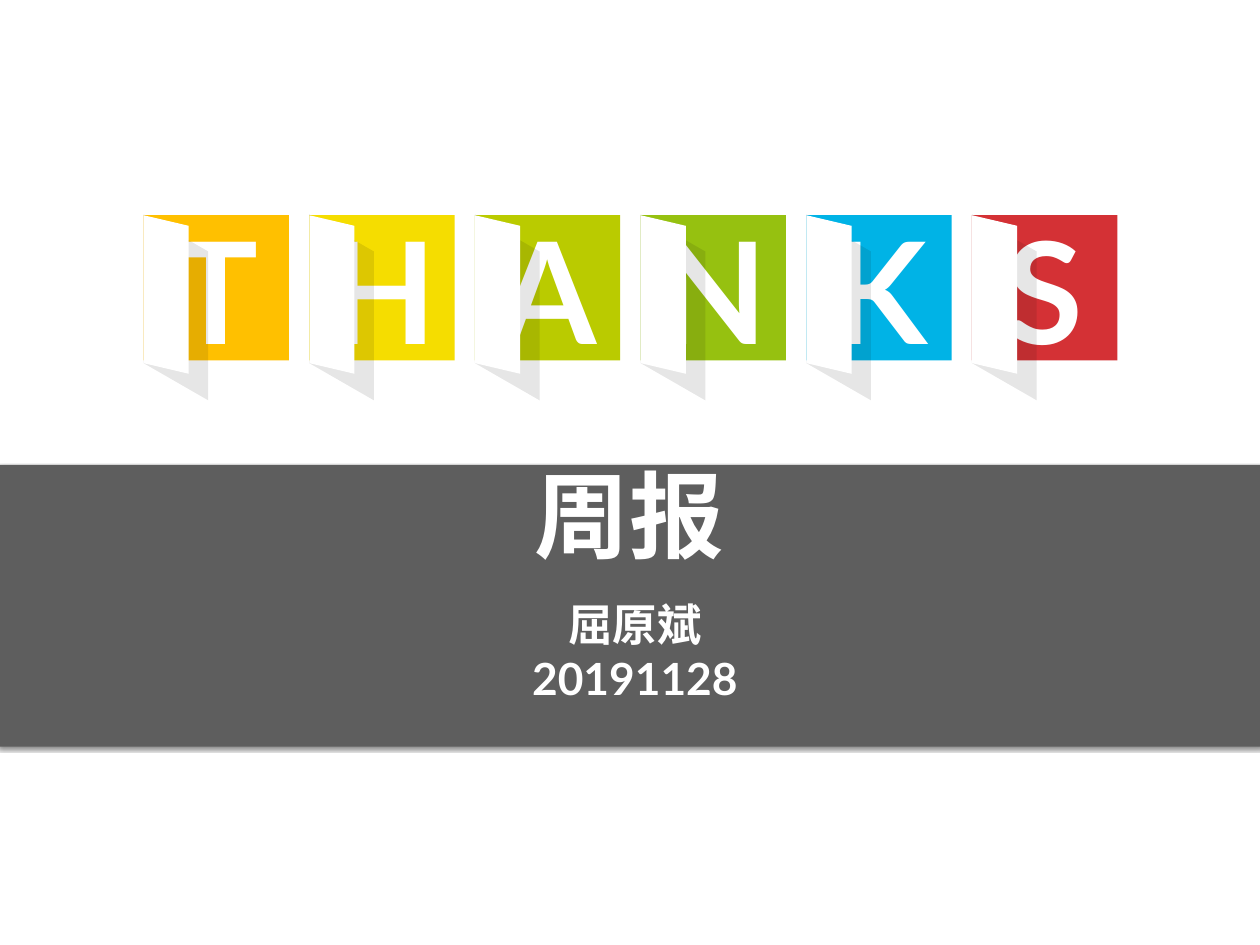
from typing import NamedTuple

from lxml import etree
from pptx import Presentation
from pptx.dml.color import RGBColor
from pptx.enum.shapes import MSO_SHAPE
from pptx.enum.text import MSO_ANCHOR, MSO_AUTO_SIZE, PP_ALIGN
from pptx.oxml import parse_xml
from pptx.oxml.ns import nsdecls, qn
from pptx.util import Inches, Pt

FONT = "Lato"
WHITE = RGBColor(0xFF, 0xFF, 0xFF)
BAND_GREY = RGBColor(0x5E, 0x5E, 0x5E)
SHADE = RGBColor(0x0D, 0x0D, 0x0D)
AMBER = RGBColor(0xFF, 0xC0, 0x00)
YELLOW = RGBColor(0xF5, 0xDD, 0x00)
LIME = RGBColor(0xBA, 0xCB, 0x00)
GREEN = RGBColor(0x96, 0xC1, 0x10)
BLUE = RGBColor(0x00, 0xB3, 0xE6)
RED = RGBColor(0xD4, 0x31, 0x35)

TILE_LEFT, TILE_TOP, TILE_SIZE, TILE_PITCH = 1.62, 2.43, 1.64, 1.87
LETTER_TOP, LETTER_HEIGHT = 2.24, 2.02


class Tile(NamedTuple):
    """One letter of the closing word and its tile colour."""
    letter: str
    color: RGBColor


class Flap(NamedTuple):
    """A slanted panel hinged on the left edge of a tile."""
    top: float
    width: float
    drop: float
    height: float
    color: RGBColor
    opacity: int


TILES = [Tile("T", AMBER), Tile("H", YELLOW), Tile("A", LIME),
         Tile("N", GREEN), Tile("K", BLUE), Tile("S", RED)]
FLAPS = [Flap(2.42, 0.73, 0.42, 1.68, SHADE, 10),
         Flap(2.43, 0.51, 0.12, 1.67, WHITE, 100)]


def paint(shape, color: RGBColor, opacity: int = 100) -> None:
    """Give a shape a flat fill without outline or shadow."""
    shape.shadow.inherit = False
    shape.line.fill.background()
    shape.fill.solid()
    shape.fill.fore_color.rgb = color
    if opacity < 100:
        rgb = shape._element.spPr.find(qn("a:solidFill")).find(qn("a:srgbClr"))
        etree.SubElement(rgb, qn("a:alpha"), val=str(opacity * 1000))


def add_rect(slide, left: float, top: float, width: float, height: float,
             color: RGBColor):
    """Draw a flat rectangle."""
    rect = slide.shapes.add_shape(MSO_SHAPE.RECTANGLE, Inches(left), Inches(top),
                                  Inches(width), Inches(height))
    paint(rect, color)
    return rect


def set_text(shape, lines: list[str], size: int,
             anchor: MSO_ANCHOR = MSO_ANCHOR.TOP) -> None:
    """Fill a shape with centred bold white lines."""
    frame = shape.text_frame
    frame.text = "\n".join(lines)
    frame.word_wrap = True
    frame.auto_size = MSO_AUTO_SIZE.NONE
    frame.vertical_anchor = anchor
    frame.margin_left = frame.margin_right = Inches(0.05)
    frame.margin_top = frame.margin_bottom = Inches(0.05)
    for paragraph in frame.paragraphs:
        paragraph.alignment = PP_ALIGN.CENTER
        font = paragraph.runs[0].font
        font.name, font.size, font.bold = FONT, Pt(size), True
        font.color.rgb = WHITE


def add_text(slide, left: float, top: float, width: float, height: float,
             lines: list[str], size: int,
             anchor: MSO_ANCHOR = MSO_ANCHOR.TOP) -> None:
    """Add a text box with centred lines."""
    box = slide.shapes.add_textbox(Inches(left), Inches(top),
                                   Inches(width), Inches(height))
    set_text(box, lines, size, anchor)


def add_flap(slide, left: float, flap: Flap) -> None:
    """Draw a flap as a parallelogram with vertical sides."""
    right, bottom = left + flap.width, flap.top + flap.height
    corners = [(right, flap.top + flap.drop), (right, bottom + flap.drop),
               (left, bottom)]
    builder = slide.shapes.build_freeform(Inches(left), Inches(flap.top), scale=1.0)
    builder.add_line_segments([(Inches(x), Inches(y)) for x, y in corners])
    paint(builder.convert_to_shape(), flap.color, flap.opacity)


def add_tile(slide, left: float, tile: Tile) -> None:
    """Draw a coloured tile, its letter and the flaps that open over it."""
    add_rect(slide, left, TILE_TOP, TILE_SIZE, TILE_SIZE, tile.color)
    add_text(slide, left, LETTER_TOP, TILE_SIZE, LETTER_HEIGHT, [tile.letter],
             115, MSO_ANCHOR.MIDDLE)
    for flap in FLAPS:
        add_flap(slide, left, flap)


def add_band(slide) -> None:
    """Draw the grey band with its soft shadow below."""
    band = add_rect(slide, -0.03, 5.25, 14.28, 3.18, BAND_GREY)
    band._element.spPr.find(qn("a:effectLst")).append(parse_xml(
        f'<a:outerShdw {nsdecls("a")} blurRad="{Pt(3)}" dist="{Pt(2)}" '
        'dir="5400000" rotWithShape="0"><a:srgbClr val="000000">'
        '<a:alpha val="48000"/></a:srgbClr></a:outerShdw>'))


def place_title(slide, text: str) -> None:
    """Move the title placeholder onto the band and format it."""
    title = slide.shapes.title
    title.left, title.top = Inches(4.08), Inches(5.35)
    title.width, title.height = Inches(6.05), Inches(1.07)
    set_text(title, [text], 77)
    title.text_frame.paragraphs[0].line_spacing = Pt(75)
    slide.shapes._spTree.append(title._element)  # bring in front of the band


def main() -> None:
    """Build and save the closing slide."""
    deck = Presentation()
    deck.slide_width, deck.slide_height = Inches(14.22), Inches(10.67)
    slide = deck.slides.add_slide(deck.slide_layouts.get_by_name("Title Only"))
    add_band(slide)
    place_title(slide, "周报")
    add_text(slide, 5.46, 6.7, 3.41, 1.64, ["屈原斌", "20191128"], 36)
    for index, tile in enumerate(TILES):
        add_tile(slide, TILE_LEFT + index * TILE_PITCH, tile)
    deck.save("out.pptx")


main()
